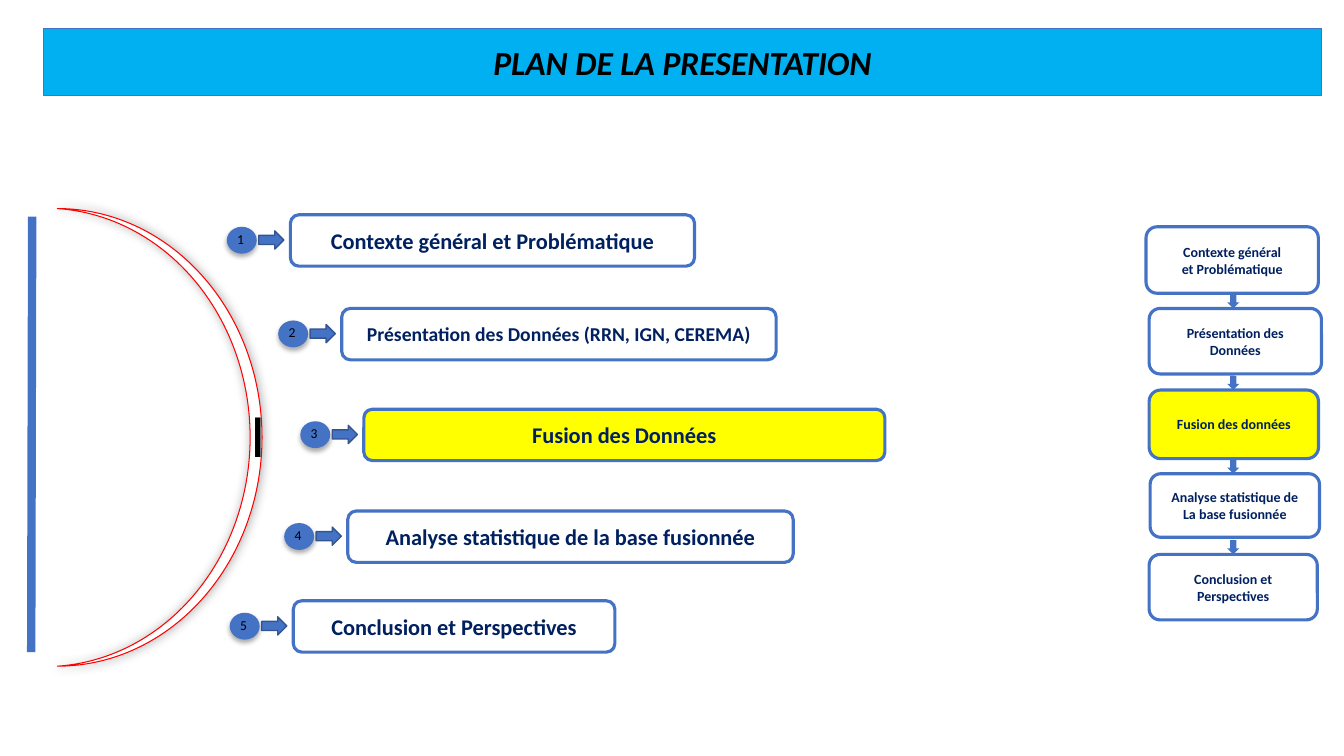
import pptx
import pptx.util
import pptx.oxml
import pptx.dml.color
import pptx.enum.shapes
import pptx.enum.text
from dataclasses import dataclass

Pt = pptx.util.Pt
RGB = pptx.dml.color.RGBColor.from_string
SHAPE = pptx.enum.shapes.MSO_SHAPE
ALIGN = pptx.enum.text.PP_ALIGN
ANCHOR = pptx.enum.text.MSO_ANCHOR
NS = 'xmlns:a="http://schemas.openxmlformats.org/drawingml/2006/main"'


@dataclass(frozen=True)
class Theme:
    """Colours, type sizes and font of the slide."""
    font: str = "Calibri"
    blue: str = "4472C4"
    dark_blue: str = "325491"
    navy: str = "002060"
    banner: str = "00B0F0"
    active: str = "FFFF00"
    white: str = "FFFFFF"
    black: str = "000000"
    red: str = "FF0000"
    title: float = 24
    item: float = 16
    item_small: float = 14
    step: float = 10
    badge: float = 9.7
    mark: float = 44


THEME = Theme()

AGENDA = [
    ("Contexte général et Problématique", 207.4, 153.4, 288.7, THEME.item),
    ("Présentation des Données (RRN, IGN, CEREMA)", 244.1, 220.3, 310.3, THEME.item_small),
    ("Fusion des Données", 259.9, 292.3, 372.2, THEME.item),
    ("Analyse statistique de la base fusionnée", 248.4, 365, 318.2, THEME.item),
    ("Conclusion et Perspectives", 209.5, 429.1, 229.7, THEME.item),
]
STEPS = [
    ("Contexte général\net Problématique", 818.6, 162, 123.1, 47.5),
    ("Présentation des\nDonnées", 820.8, 220.3, 123.1, 46.8),
    ("Fusion des données", 820.8, 278.6, 121, 49),
    ("Analyse statistique de\nLa base fusionnée", 821.5, 338.4, 121, 45.4),
    ("Conclusion et\nPerspectives", 820.8, 396, 120.2, 46.8),
]
CURRENT = 2


def write(sp, text, size, color=THEME.black, bold=False, italic=False,
          align=ALIGN.CENTER, anchor=ANCHOR.MIDDLE, wrap=True, spacing=None, insets=None):
    """Put formatted text in a shape, one paragraph per line."""
    tf = sp.text_frame
    tf.word_wrap = wrap
    tf.vertical_anchor = anchor
    if insets:
        tf.margin_left, tf.margin_top, tf.margin_right, tf.margin_bottom = map(Pt, insets)
    for i, line in enumerate(text.split("\n")):
        p = tf.add_paragraph() if i else tf.paragraphs[0]
        p.alignment = align
        p.line_spacing = spacing
        r = p.add_run()
        r.text = line
        r.font.name, r.font.size = THEME.font, Pt(size)
        r.font.bold, r.font.italic = bold, italic
        r.font.color.rgb = RGB(color)


def paint(sp, fill, line=None, width=1):
    """Set the fill and outline of a shape."""
    sp.fill.solid()
    sp.fill.fore_color.rgb = RGB(fill)
    if line:
        sp.line.color.rgb = RGB(line)
        sp.line.width = Pt(width)
    else:
        sp.line.fill.background()


def add_shape(s, kind, box, fill, line=None, width=1):
    """Add a painted preset shape without shadow."""
    sp = s.shapes.add_shape(kind, *map(Pt, box))
    sp.shadow.inherit = False
    paint(sp, fill, line, width)
    return sp


def add_shadow(sp, blur, dist, alpha):
    """Give a shape a soft shadow that falls downwards."""
    effects = sp._element.spPr.find(pptx.oxml.ns.qn("a:effectLst"))
    effects.append(pptx.oxml.parse_xml(
        f'<a:outerShdw {NS} blurRad="{Pt(blur)}" dist="{Pt(dist)}" dir="5400000" '
        f'algn="ctr" rotWithShape="0"><a:srgbClr val="{THEME.black}">'
        f'<a:alpha val="{alpha * 1000}"/></a:srgbClr></a:outerShdw>'))


def add_label(s, box, text, size, active):
    """Add a rounded label, highlighted when it is the current part."""
    fill = THEME.active if active else THEME.white
    sp = add_shape(s, SHAPE.ROUNDED_RECTANGLE, box, fill, THEME.blue, 2.25)
    write(sp, text, size, THEME.navy, bold=True)


def add_title(s, box, text):
    """Shape the title placeholder as a rounded banner."""
    sp = s.shapes.title
    sp.left, sp.top, sp.width, sp.height = map(Pt, box)
    sp._element.spPr.append(pptx.oxml.parse_xml(
        f'<a:prstGeom {NS} prst="roundRect"><a:avLst/></a:prstGeom>'))
    paint(sp, THEME.banner, THEME.blue, 0.25)
    write(sp, text, THEME.title, bold=True, italic=True)


def add_arc(s, box):
    """Draw the vertical bar and the crescent beside the agenda."""
    x, y, w, h = box
    bar = s.shapes.add_connector(pptx.enum.shapes.MSO_CONNECTOR.STRAIGHT,
                                 Pt(x + 0.7), Pt(y + 5.8), Pt(x), Pt(y + 316.8))
    bar.line.color.rgb = RGB(THEME.blue)
    bar.line.width = Pt(6)
    bar._element.spPr.append(pptx.oxml.parse_xml(f"<a:effectLst {NS}/>"))
    moon = add_shape(s, SHAPE.MOON, (x + 18.7, y, w - 18.7, h), THEME.white, THEME.red, 0.75)
    moon.adjustments[0] = 0.058
    moon._element.spPr.xfrm.set("flipH", "1")
    add_shadow(moon, 8, 0, 32)
    write(moon, "I", THEME.mark, align=ALIGN.LEFT, wrap=False, spacing=0.9)


def add_agenda_item(s, box, number, text, size, active):
    """Add a label with its numbered badge and arrow on the left."""
    x, y, w, h = box
    add_label(s, box, text, size, active)
    badge = add_shape(s, SHAPE.OVAL, (x - 45.4, y + 8.6, 21.4, 19.2), THEME.blue)
    add_shadow(badge, 3.5, 2.2, 32)
    write(badge, str(number), THEME.badge, align=ALIGN.LEFT, anchor=ANCHOR.TOP,
          insets=(4.3, 0, 7.2, 2.2))
    add_shape(s, SHAPE.RIGHT_ARROW, (x - 22.6, y + 11.5, 18, 13),
              THEME.blue, THEME.dark_blue, 1)


def add_step(s, box, text, active, first):
    """Add a step of the side flow, with an arrow above unless first."""
    x, y, w, h = box
    add_label(s, box, text, THEME.step, active)
    if not first:
        add_shape(s, SHAPE.DOWN_ARROW, (876.6, y - 10.1, 8.6, 10.1), THEME.blue)


def build_plan(prs):
    """Build the plan slide."""
    s = prs.slides.add_slide(prs.slide_layouts[5])
    add_title(s, (31, 20.2, 913, 47.5), "PLAN DE LA PRESENTATION")
    add_arc(s, (22.3, 149, 164.9, 326.9))
    for i, (text, x, y, w, size) in enumerate(AGENDA):
        add_agenda_item(s, (x, y, w, 36.7), i + 1, text, size, i == CURRENT)
    for i, (text, *box) in enumerate(STEPS):
        add_step(s, box, text, i == CURRENT, i == 0)


def main():
    """Create and save the presentation."""
    prs = pptx.Presentation()
    prs.slide_width, prs.slide_height = Pt(960), Pt(540)
    build_plan(prs)
    prs.save("out.pptx")


if __name__ == "__main__":
    main()
